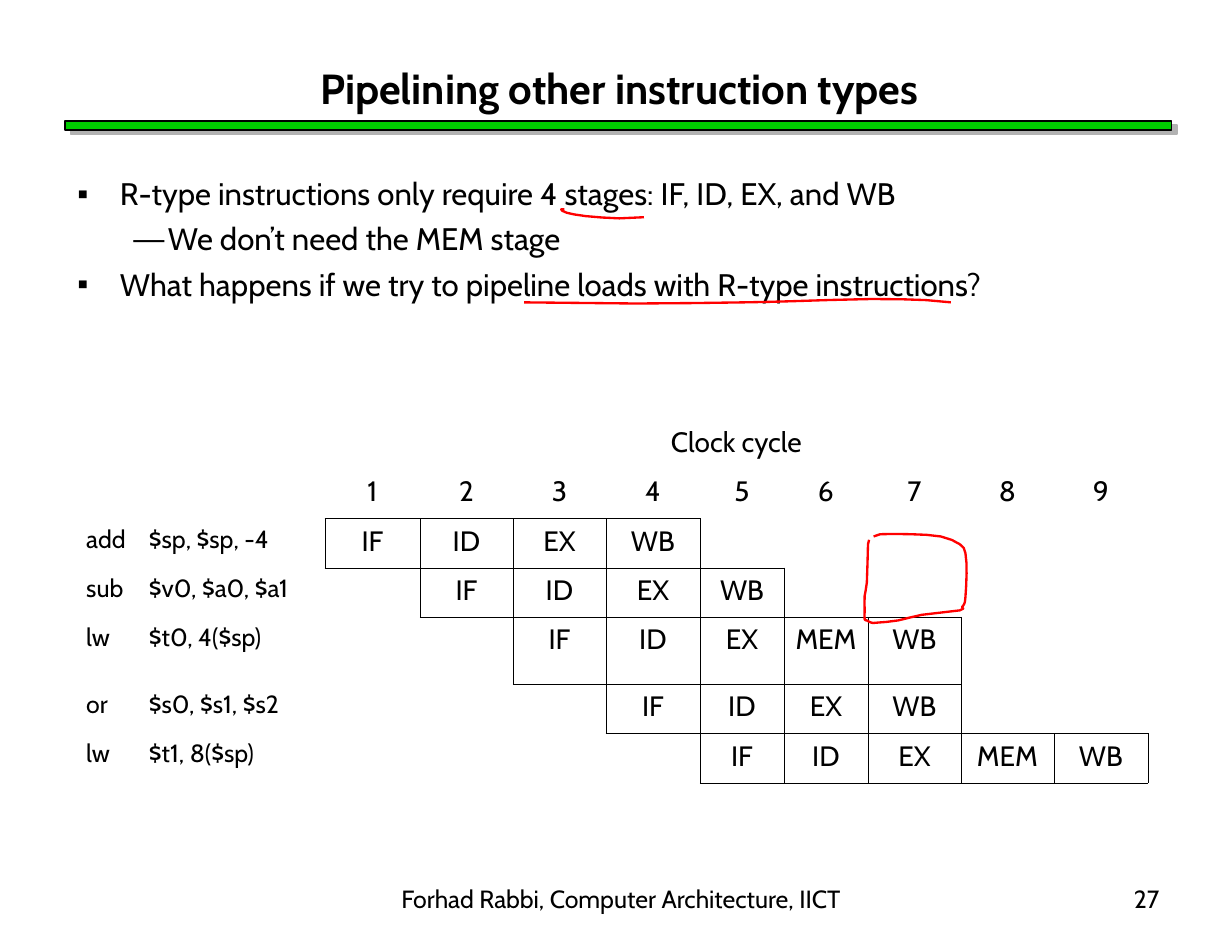
from lxml.etree import SubElement
from pptx import Presentation
from pptx.dml.color import RGBColor
from pptx.enum.shapes import MSO_SHAPE as Shape
from pptx.enum.text import MSO_ANCHOR as Anchor, MSO_AUTO_SIZE as AutoSize, PP_ALIGN as Align
from pptx.oxml.ns import qn
from pptx.util import Inches, Pt

FONT = "Cabin"
COLORS = {"text": "000000", "bar": "00CC00", "shadow": "B2B2B2", "ink": "FF0000"}

BULLETS = [
    (0, "R-type instructions only require 4 stages: IF, ID, EX, and WB"),
    (1, "We don’t need the MEM stage"),
    (0, "What happens if we try to pipeline loads with R-type instructions?"),
]
BULLET_STYLES = [("▪", 0.38, -0.38), ("—", 0.81, -0.31)]  # mark, margin, indent

R_TYPE = ["IF", "ID", "EX", "WB"]
LOAD = ["IF", "ID", "EX", "MEM", "WB"]
INSTRUCTIONS = [
    ("add\t$sp, $sp, -4", R_TYPE),
    ("sub\t$v0, $a0, $a1", R_TYPE),
    ("lw\t$t0, 4($sp)", LOAD),
    ("or\t$s0, $s1, $s2", R_TYPE),
    ("lw\t$t1, 8($sp)", LOAD),
]
COLUMN_WIDTHS = [2.23, 0.85, 0.83, 0.83, 0.84, 0.75, 0.75, 0.83, 0.83, 0.84]
ROW_HEIGHTS = [0.44, 0.44, 0.44, 0.44, 0.6, 0.44, 0.44]

# Pen strokes, as points relative to their box
UNDERLINES = [
    [(0.36, 0), (0.33, 0), (0.38, 0.03), (0.55, 0.06), (0.85, 0.08), (1.07, 0.07)],
    [(0, 0.83), (1, 0.84), (1.96, 0.83), (2.38, 0.82), (3.1, 0.8), (3.59, 0.81), (3.81, 0.83)],
]
LOOP = [[
    (0.04, 0.06), (0.03, 0.1), (0.02, 0.44), (0, 0.56), (0, 0.69), (0, 0.77), (0.02, 0.78),
    (0.06, 0.8), (0.11, 0.8), (0.3, 0.78), (0.51, 0.73), (0.85, 0.69), (0.87, 0.66),
    (0.89, 0.63), (0.9, 0.57), (0.91, 0.36), (0.9, 0.18), (0.85, 0.1), (0.68, 0.03),
    (0.41, 0.01), (0.14, 0.01), (0.08, 0.03),
]]


def color(name):
    return RGBColor.from_string(COLORS[name])


def write(paragraph, text, size=18, bold=False, align=Align.LEFT, before=0):
    paragraph.alignment = align
    paragraph.space_before = Pt(before)
    run = paragraph.add_run()
    run.text = text
    font = run.font
    font.name, font.size, font.bold = FONT, Pt(size), bold
    font.color.rgb = color("text")


def place(shape, left, top, width, height, anchor=Anchor.TOP):
    shape.left, shape.top = Inches(left), Inches(top)
    shape.width, shape.height = Inches(width), Inches(height)
    frame = shape.text_frame
    frame.word_wrap, frame.auto_size = True, AutoSize.NONE
    frame.vertical_anchor = anchor
    frame.margin_left = frame.margin_right = Inches(0.11)
    frame.margin_top = frame.margin_bottom = Inches(0.06)
    return frame


def add_heading(slide, left, top, width, height):
    title = place(slide.shapes.title, left, top, width, height, Anchor.MIDDLE)
    write(title.paragraphs[0], "Pipelining other instruction types", size=27, bold=True,
          align=Align.CENTER)
    # Green rule with its offset shadow
    bar = slide.shapes.add_shape(Shape.RECTANGLE, Inches(left), Inches(top + 0.58),
                                 Inches(width - 0.02), Inches(0.08))
    bar.shadow.inherit = False
    bar.fill.solid()
    bar.fill.fore_color.rgb = color("bar")
    bar.line.color.rgb = color("text")
    bar.line.width = Pt(1)
    effects = bar.fill._xPr.find(qn("a:effectLst"))
    shadow = SubElement(effects, qn("a:outerShdw"), dist=str(Inches(0.06)),
                        dir=str(37 * 60000), algn="ctr", rotWithShape="0")
    SubElement(shadow, qn("a:srgbClr"), val=COLORS["shadow"])


def add_bullets(slide, left, top, width, height):
    body = place(slide.placeholders[1], left, top, width, height)
    for index, (level, text) in enumerate(BULLETS):
        paragraph = body.add_paragraph() if index else body.paragraphs[0]
        paragraph.level = level
        write(paragraph, text, size=20, before=5)
        mark, margin, indent = BULLET_STYLES[level]
        properties = paragraph._p.get_or_add_pPr()
        properties.set("marL", str(Inches(margin)))
        properties.set("indent", str(Inches(indent)))
        SubElement(properties, qn("a:buChar"), char=mark)


def stage_at(row, column):
    """Stage shown in a table cell: each instruction starts one cycle later."""
    number = row - 2
    if not 0 <= number < len(INSTRUCTIONS):
        return None
    stages = INSTRUCTIONS[number][1]
    step = column - 1 - number
    return stages[step] if 0 <= step < len(stages) else None


def set_borders(cell, row, column):
    """Rule every edge that touches a stage."""
    neighbours = {"lnL": (row, column - 1), "lnR": (row, column + 1),
                  "lnT": (row - 1, column), "lnB": (row + 1, column)}
    properties = cell._tc.get_or_add_tcPr()
    for side, neighbour in neighbours.items():
        line = SubElement(properties, qn(f"a:{side}"), w=str(Pt(0.25)))
        if stage_at(row, column) or stage_at(*neighbour):
            fill = SubElement(line, qn("a:solidFill"))
            SubElement(fill, qn("a:srgbClr"), val=COLORS["text"])
        else:
            SubElement(line, qn("a:noFill"))
    cell.fill.background()


def add_pipeline(slide, left, top):
    pipeline = slide.shapes.add_table(
        len(ROW_HEIGHTS), len(COLUMN_WIDTHS), Inches(left), Inches(top),
        Inches(sum(COLUMN_WIDTHS)), Inches(sum(ROW_HEIGHTS))).table
    pipeline.first_row = pipeline.horz_banding = False
    for column, width in zip(pipeline.columns, COLUMN_WIDTHS):
        column.width = Inches(width)
    for row, height in zip(pipeline.rows, ROW_HEIGHTS):
        row.height = Inches(height)
    pipeline.cell(0, 1).merge(pipeline.cell(0, len(COLUMN_WIDTHS) - 1))

    for row in range(len(ROW_HEIGHTS)):
        for column in range(len(COLUMN_WIDTHS)):
            cell = pipeline.cell(row, column)
            set_borders(cell, row, column)
            paragraph = cell.text_frame.paragraphs[0]
            if column == 0 and row >= 2:
                write(paragraph, INSTRUCTIONS[row - 2][0], size=16, before=4)
                tabs = SubElement(paragraph._p.get_or_add_pPr(), qn("a:tabLst"))
                SubElement(tabs, qn("a:tab"), pos=str(Inches(0.56)), algn="l")
                continue
            label = stage_at(row, column)
            if (row, column) == (0, 1):
                label = "Clock cycle"
            elif row == 1 and column:
                label = str(column)
            if label:
                write(paragraph, label, align=Align.CENTER, before=4.5)


def smooth(points):
    """Add the Catmull-Rom midpoint to each inner segment."""
    curve = points[:2]
    for a, b, c, d in zip(points, points[1:], points[2:], points[3:]):
        middle = tuple((9 * (b[i] + c[i]) - a[i] - d[i]) / 16 for i in (0, 1))
        curve += [middle, c]
    return curve + points[-1:]


def add_ink(slide, left, top, strokes):
    curves = [[(Inches(left + x), Inches(top + y)) for x, y in smooth(stroke)]
              for stroke in strokes]
    builder = slide.shapes.build_freeform(*curves[0][0])
    for index, curve in enumerate(curves):
        if index:
            builder.move_to(*curve[0])
        builder.add_line_segments(curve[1:], close=False)
    ink = builder.convert_to_shape()
    ink.shadow.inherit = False
    ink.fill.background()
    ink.line.color.rgb = color("ink")
    ink.line.width = Pt(1.5)


def add_footer(slide, left, top, width, height, text, align):
    footer = slide.shapes.add_textbox(0, 0, 0, 0)
    frame = place(footer, left, top, width, height)
    write(frame.paragraphs[0], text, size=16, align=align)


deck = Presentation()
deck.slide_width, deck.slide_height = Inches(11), Inches(8.5)
slide = deck.slides.add_slide(deck.slide_layouts[1])
add_heading(slide, 0.58, 0.5, 9.9, 0.57)
add_bullets(slide, 0.58, 1.5, 9.87, 2.25)
add_pipeline(slide, 0.67, 3.75)
add_ink(slide, 4.68, 1.87, UNDERLINES)
add_ink(slide, 7.72, 4.76, LOOP)
add_footer(slide, 3.42, 7.83, 4.25, 0.57, "Forhad Rabbi, Computer Architecture, IICT", Align.CENTER)
add_footer(slide, 8.17, 7.83, 2.29, 0.57, "27", Align.RIGHT)
deck.save("out.pptx")
